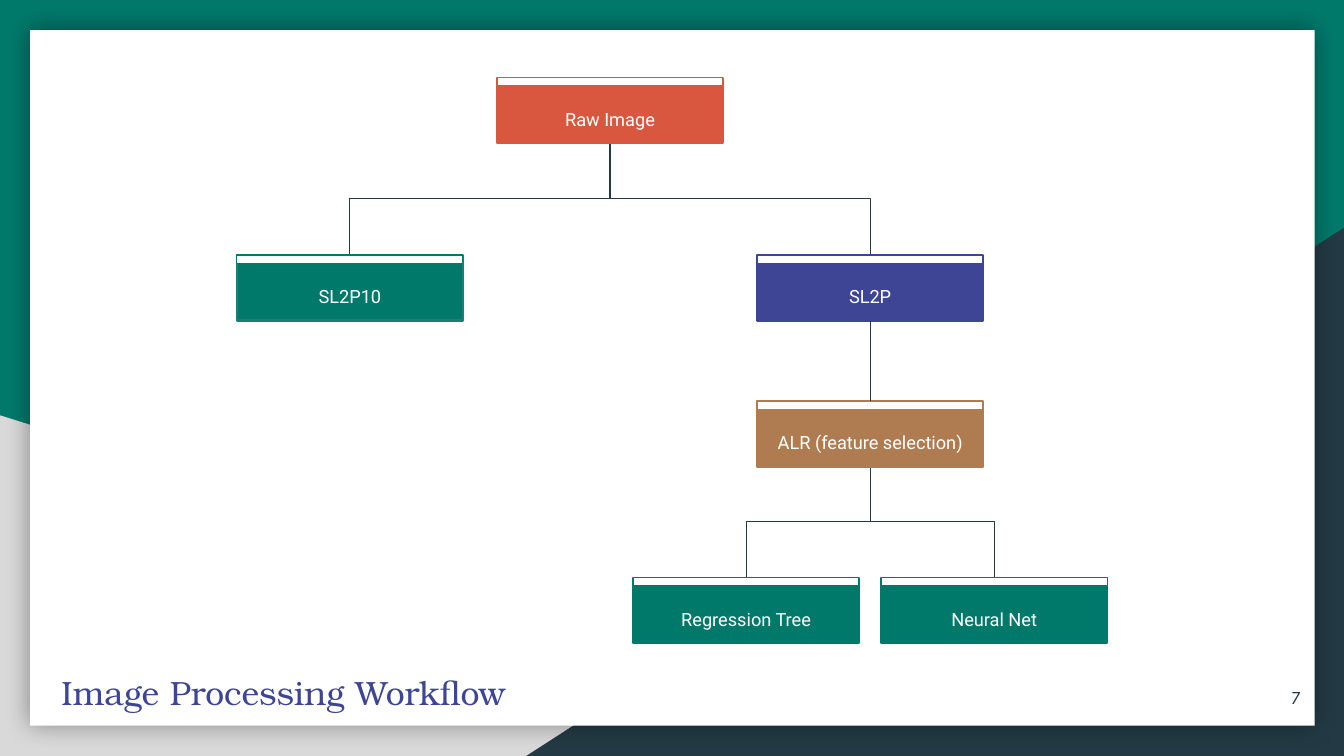
from lxml import etree
from pptx import Presentation
from pptx.dml.color import RGBColor
from pptx.enum.shapes import MSO_CONNECTOR as LINK, MSO_SHAPE as SHAPE
from pptx.enum.text import MSO_ANCHOR as ANCHOR, PP_ALIGN as ALIGN
from pptx.oxml import parse_xml
from pptx.oxml.ns import nsdecls, qn
from pptx.util import Inches, Pt

GREEN = RGBColor(0x00, 0x79, 0x6B)
SOFT_GREEN = RGBColor(0x1D, 0x7E, 0x74)
NAVY = RGBColor(0x23, 0x3A, 0x44)
GREY = RGBColor(0xD9, 0xD9, 0xD9)
WHITE = RGBColor(0xFF, 0xFF, 0xFF)
RED = RGBColor(0xD9, 0x56, 0x3F)
INDIGO = RGBColor(0x3D, 0x45, 0x94)
BROWN = RGBColor(0xAF, 0x7B, 0x51)

CARD_W, CARD_H, BAND_H = 2.24, 0.65, 0.08

prs = Presentation()
prs.slide_width, prs.slide_height = Inches(13.33), Inches(7.5)
slide = prs.slides.add_slide(prs.slide_layouts[6])
slide.background.fill.solid()
slide.background.fill.fore_color.rgb = GREEN


def add_block(kind, left, top, width, height, fill, line=None, weight=0.75):
    block = slide.shapes.add_shape(
        kind, Inches(left), Inches(top), Inches(width), Inches(height))
    block.shadow.inherit = False
    block.fill.solid()
    block.fill.fore_color.rgb = fill
    if line is None:
        block.line.fill.background()
    else:
        block.line.color.rgb = line
        block.line.width = Pt(weight)
    return block


def write(holder, words, size, font, color, align, anchor):
    frame = holder.text_frame
    frame.word_wrap = True
    frame.vertical_anchor = anchor
    frame.margin_left = frame.margin_right = Inches(0.13)
    frame.margin_top = frame.margin_bottom = Inches(0.13)
    paragraph = frame.paragraphs[0]
    paragraph.alignment = align
    run = paragraph.add_run()
    run.text = words
    run.font.size = Pt(size)
    run.font.name = font
    run.font.color.rgb = color


add_block(SHAPE.RIGHT_TRIANGLE, 0, 4.12, 10.75, 3.38, GREY)
right_corner = add_block(SHAPE.RIGHT_TRIANGLE, 5.22, 2.26, 8.11, 5.24, NAVY)
right_corner._element.spPr.find(qn("a:xfrm")).set("flipH", "1")

paper = add_block(SHAPE.RECTANGLE, 0.3, 0.3, 12.74, 6.9, WHITE)
effects = paper._element.spPr.find(qn("a:effectLst"))
effects.append(parse_xml(
    f'<a:outerShdw {nsdecls("a")} blurRad="{Pt(18)}" dist="0" dir="0" algn="ctr" '
    'rotWithShape="0"><a:srgbClr val="000000"><a:alpha val="40000"/></a:srgbClr>'
    '</a:outerShdw>'))

title = slide.shapes.add_textbox(Inches(0.48), Inches(6.07), Inches(10.81), Inches(1.13))
write(title, "Image Processing Workflow", 24, "TeX Gyre Bonum", INDIGO,
      ALIGN.LEFT, ANCHOR.BOTTOM)

links = []
branches = [
    (6.05, 1.41, 8.63, 2.53),
    (3.47, 2.53, 6.05, 1.41),
    (8.63, 4.62, 9.86, 5.73),
    (7.4, 5.73, 8.63, 4.62),
]
for x1, y1, x2, y2 in branches:
    mid_x, mid_y = (x1 + x2) / 2, (y1 + y2) / 2
    half_run, half_drop = (x2 - x1) / 2, (y2 - y1) / 2
    branch = slide.shapes.add_connector(
        LINK.ELBOW,
        Inches(mid_x + half_drop), Inches(mid_y - half_run),
        Inches(mid_x - half_drop), Inches(mid_y + half_run))
    branch._element.spPr.find(qn("a:xfrm")).set("rot", str(270 * 60000))
    links.append(branch)

steps = [
    ("Raw Image", 4.93, 0.77, RED, RED),
    ("SL2P10", 2.35, 2.53, GREEN, SOFT_GREEN),
    ("SL2P", 7.51, 2.53, INDIGO, INDIGO),
    ("Neural Net", 8.74, 5.73, GREEN, GREEN),
    ("Regression Tree", 6.28, 5.73, GREEN, GREEN),
    ("ALR (feature selection)", 7.51, 3.98, BROWN, BROWN),
]
cards = {}
for label, left, top, color, border in steps:
    card = add_block(SHAPE.RECTANGLE, left, top, CARD_W, CARD_H, color, border, 1.5)
    write(card, label, 13, "Roboto", WHITE, ALIGN.CENTER, ANCHOR.BOTTOM)
    add_block(SHAPE.RECTANGLE, left, top, CARD_W, BAND_H, WHITE, color)
    cards[label] = card

selection = slide.shapes.add_connector(
    LINK.STRAIGHT, Inches(8.63), Inches(3.18), Inches(8.63), Inches(3.98))
selection.begin_connect(cards["SL2P"], 2)
selection.end_connect(cards["ALR (feature selection)"], 0)
links.append(selection)

for link in links:
    link.line.color.rgb = NAVY
    link.line.width = Pt(0.75)
    etree.SubElement(link._element.spPr, qn("a:effectLst"))

page_number = slide.shapes.add_textbox(Inches(12.23), Inches(6.63), Inches(0.8), Inches(0.57))
write(page_number, "7", 13, "League Spartan", NAVY, ALIGN.RIGHT, ANCHOR.MIDDLE)

prs.save("out.pptx")
